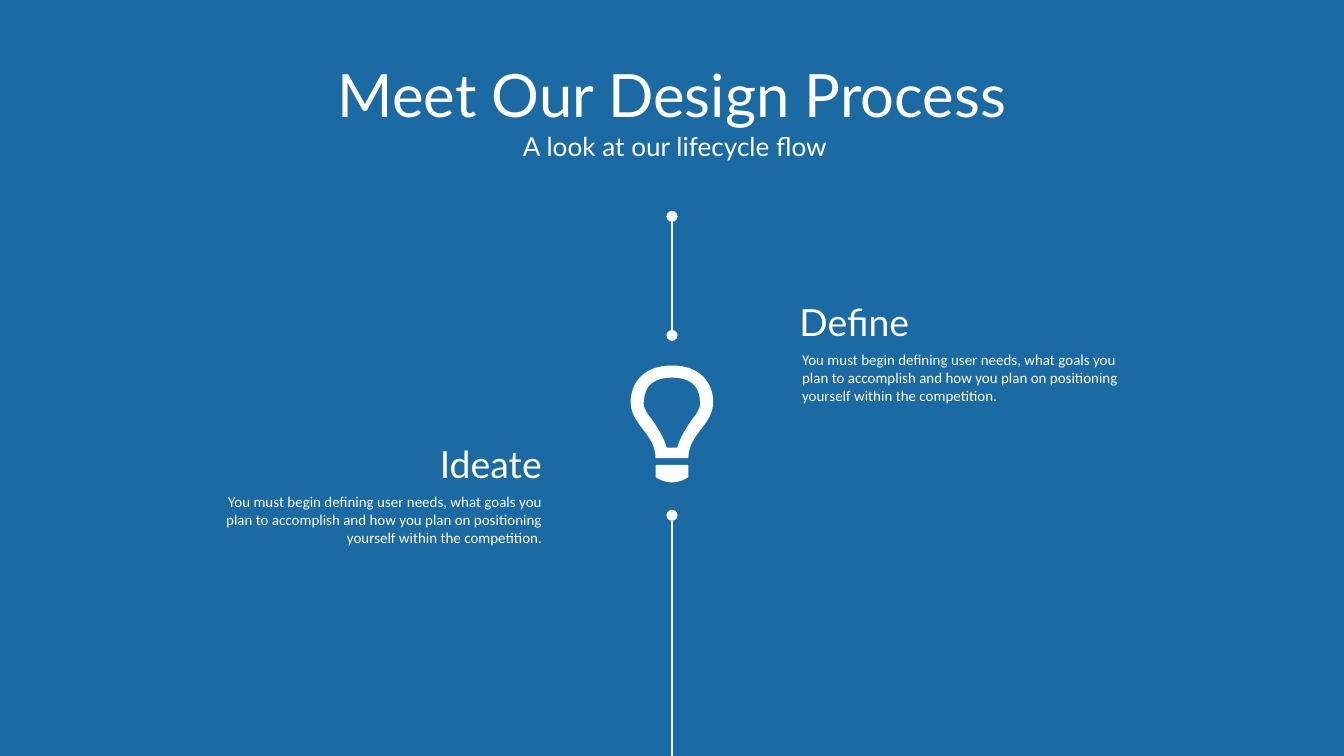
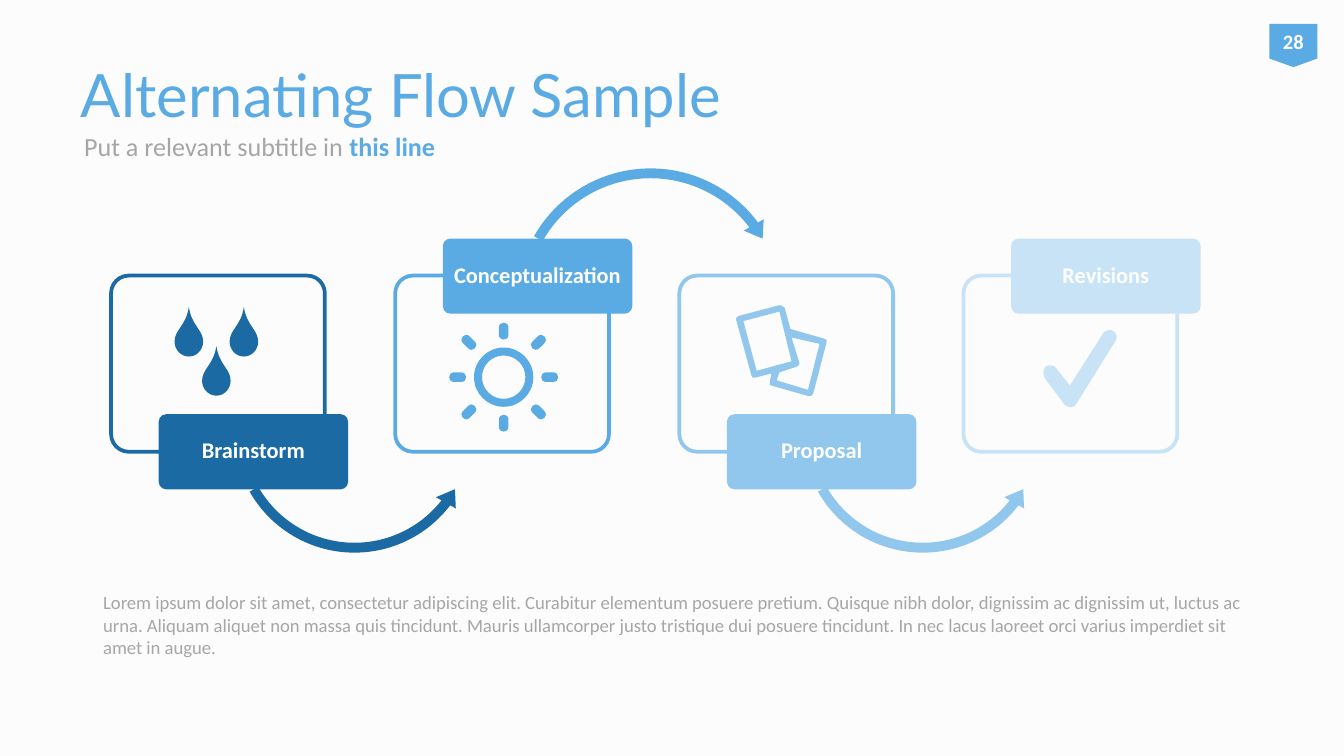
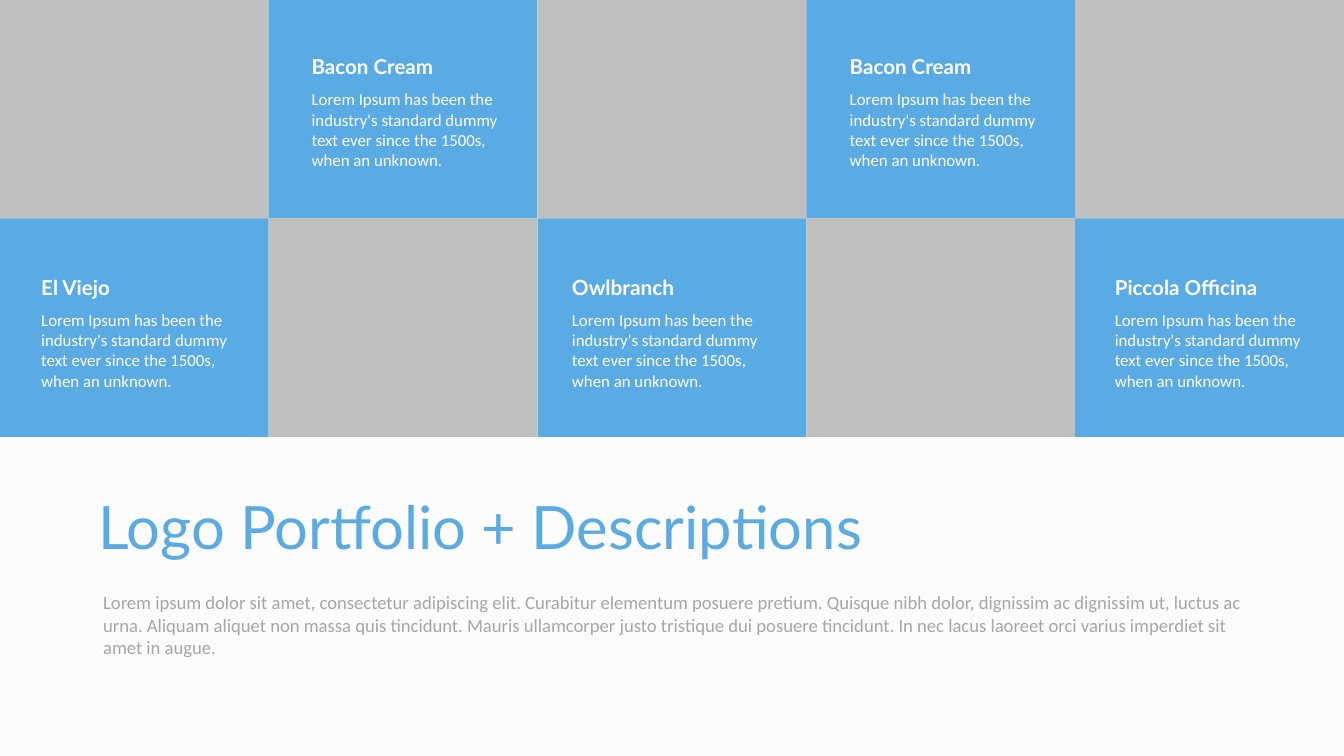
from dataclasses import dataclass
from math import cos, pi, sin
from typing import NamedTuple, Optional

from lxml import etree
from pptx import Presentation
from pptx.dml.color import RGBColor
from pptx.enum.shapes import MSO_CONNECTOR, MSO_SHAPE
from pptx.enum.text import MSO_ANCHOR, PP_ALIGN
from pptx.oxml.ns import qn
from pptx.util import Cm, Pt

LEFT, MID, RIGHT = PP_ALIGN.LEFT, PP_ALIGN.CENTER, PP_ALIGN.RIGHT
TOP, CORE = MSO_ANCHOR.TOP, MSO_ANCHOR.MIDDLE
RECT, ROUND = MSO_SHAPE.RECTANGLE, MSO_SHAPE.ROUNDED_RECTANGLE
OVER, UNDER = MSO_SHAPE.CIRCULAR_ARROW, MSO_SHAPE.LEFT_CIRCULAR_ARROW
TAG = MSO_SHAPE.FLOWCHART_OFFPAGE_CONNECTOR
STRAIGHT = MSO_CONNECTOR.STRAIGHT


@dataclass(frozen=True)
class Theme:
    navy: str = "1B6AA3"
    blue: str = "5AAAE4"
    sky: str = "91C6ED"
    ice: str = "C8E3F6"
    gray: str = "A6A6A6"
    tile: str = "BFBFBF"
    paper: str = "FCFCFC"
    white: str = "FFFFFF"
    head: str = "Lato"
    body: str = "Calibri"
    title: float = 32
    step: float = 20
    lead: float = 14
    label: float = 12
    large: float = 11.2
    name: float = 11
    note: float = 10
    tiny: float = 9
    small: float = 8


T = Theme()
WIDE, HIGH = 25.4, 14.29
LOREM = (
    "Lorem ipsum dolor sit amet, consectetur adipiscing elit. Curabitur elementum posuere pretium. "
    "Quisque nibh dolor, dignissim ac dignissim ut, luctus ac urna. Aliquam aliquet non massa quis "
    "tincidunt. Mauris ullamcorper justo tristique dui posuere tincidunt. In nec lacus laoreet orci "
    "varius imperdiet sit amet in augue."
)
NEEDS = (
    "You must begin defining user needs, what goals you plan to accomplish and how you plan on "
    "positioning yourself within the competition."
)
DUMMY = (
    "Lorem Ipsum has been the industry's standard dummy text ever since the 1500s, "
    "when an unknown."
)


class Box(NamedTuple):
    x: float
    y: float
    w: float
    h: float


class Run(NamedTuple):
    text: str
    size: float
    color: str = T.white
    font: str = T.body
    bold: bool = False


class Step(NamedTuple):
    text: str
    align: PP_ALIGN
    head: Box
    note: Box


class Card(NamedTuple):
    text: str
    color: str
    low: bool
    arrow: bool = True


class Arc(NamedTuple):
    kind: MSO_SHAPE
    dx: float
    y: float
    size: float
    turn: tuple


class Tile(NamedTuple):
    text: str
    pad: float
    size: float = T.name


STEPS = [
    Step("Define", LEFT, Box(14.86, 5.46, 8, 1.22), Box(14.91, 6.5, 6.81, 1.55)),
    Step("Ideate", RIGHT, Box(2.49, 8.15, 8, 1.22), Box(3.69, 9.19, 6.81, 1.55)),
]
CARDS = [
    Card("Brainstorm", T.navy, True),
    Card("Conceptualization", T.blue, False),
    Card("Proposal", T.sky, True),
    Card("Revisions", T.ice, False, False),
]
ARCS = {
    True: Arc(UNDER, 2.2, 5.77, 4.8, (0.039, 4.867, 22.622, 90.245, 0.045)),
    False: Arc(OVER, 2.17, 3.06, 5.31, (0.035, 4.356, 193.889, 125.755, 0.041)),
}
TILES = [
    Tile("El Viejo", 0.53),
    Tile("Bacon Cream", 0.56),
    Tile("Owlbranch", 0.4, T.large),
    Tile("Bacon Cream", 0.57),
    Tile("Piccola Officina", 0.5),
]

BULB = [
    [(0, 2.21), (0.13, 2.21, 0.23, 2.16, 0.31, 2.11), (0.31, 1.88)],
    [(0, 0), (0.53, 0, 0.75, 0.31, 0.78, 0.64), (0.81, 1.12, 0.31, 1.27, 0.31, 1.75)],
    [(0, 0.23), (0.33, 0.23, 0.51, 0.36, 0.53, 0.66), (0.56, 0.81, 0.46, 0.91, 0.33, 1.09),
     (0.25, 1.22, 0.15, 1.37, 0.1, 1.55)],
]
DROP = [(0, 0), (0.05, 0.36, 0.27, 0.43, 0.27, 0.66), (0.27, 0.81, 0.15, 0.94, 0, 0.94)]
DROPS = [(3.57, 5.8), (4.61, 5.8), (4.09, 6.54)]
SHEETS = [
    [(15.57, 6.4), (14.94, 6.22), (14.83, 5.82), (14.81, 5.79, 14.78, 5.77, 14.73, 5.77),
     (13.97, 5.97), (13.92, 5.99, 13.89, 6.02, 13.92, 6.07), (14.2, 7.09),
     (14.2, 7.14, 14.25, 7.16, 14.27, 7.14), (14.58, 7.06), (14.55, 7.21),
     (14.53, 7.26, 14.55, 7.29, 14.58, 7.29), (15.29, 7.49),
     (15.32, 7.49, 15.37, 7.47, 15.37, 7.44), (15.62, 6.48),
     (15.65, 6.45, 15.62, 6.4, 15.57, 6.4)],
    [(14.05, 6.07), (14.73, 5.89), (14.96, 6.83), (14.3, 7.01)],
    [(15.27, 7.37), (14.68, 7.19), (14.73, 7.04), (15.06, 6.93),
     (15.09, 6.93, 15.11, 6.88, 15.11, 6.86), (14.96, 6.38), (15.49, 6.5)],
]
CHECK = [
    (20.24, 7.7), (20.19, 7.7, 20.14, 7.67, 20.12, 7.65), (19.74, 7.14),
    (19.71, 7.09, 19.71, 6.99, 19.76, 6.93), (19.84, 6.88, 19.94, 6.91, 19.96, 6.96),
    (20.22, 7.29), (20.85, 6.3), (20.88, 6.25, 20.98, 6.22, 21.03, 6.25),
    (21.11, 6.3, 21.13, 6.38, 21.08, 6.45), (20.35, 7.62),
    (20.32, 7.67, 20.29, 7.7, 20.24, 7.7),
]


def rgb(color: str) -> RGBColor:
    return RGBColor.from_string(color)


def place(box: Box) -> list:
    return [Cm(side) for side in box]


def new_slide(deck, color: str):
    slide = deck.slides.add_slide(deck.slide_layouts[6])
    slide.background.fill.solid()
    slide.background.fill.fore_color.rgb = rgb(color)
    return slide


def write(frame, runs: list, align: PP_ALIGN = LEFT, anchor: MSO_ANCHOR = CORE) -> None:
    frame.word_wrap = True
    frame.vertical_anchor = anchor
    line = frame.paragraphs[0]
    line.alignment = align
    for run in runs:
        part = line.add_run()
        part.text = run.text
        part.font.size = Pt(run.size)
        part.font.name = run.font
        part.font.bold = run.bold
        part.font.color.rgb = rgb(run.color)


def add_text(slide, box: Box, runs: list, align: PP_ALIGN = LEFT,
             anchor: MSO_ANCHOR = CORE) -> None:
    write(slide.shapes.add_textbox(*place(box)).text_frame, runs, align, anchor)


def add_title(slide, box: Box, text: str, color: str = T.blue, align: PP_ALIGN = LEFT) -> None:
    add_text(slide, box, [Run(text, T.title, color, T.head)], align)


def add_lorem(slide) -> None:
    add_text(slide, Box(1.7, 11.05, 22.2, 1.7), [Run(LOREM, T.note, T.gray)], anchor=TOP)


def paint(shape, fill: Optional[str], line: Optional[str] = None) -> None:
    shape.shadow.inherit = False
    if fill:
        shape.fill.solid()
        shape.fill.fore_color.rgb = rgb(fill)
    else:
        shape.fill.background()
    if line:
        shape.line.color.rgb = rgb(line)
        shape.line.width = Pt(2)
    else:
        shape.line.fill.background()


def add_form(slide, kind: MSO_SHAPE, box: Box, fill: Optional[str],
             line: Optional[str] = None, turn: tuple = ()):
    form = slide.shapes.add_shape(kind, *place(box))
    for spot, value in enumerate(turn):
        form.adjustments[spot] = value
    paint(form, fill, line)
    return form


def add_stem(slide, start: float, end: float, dots: list) -> None:
    stem = slide.shapes.add_connector(STRAIGHT, Cm(WIDE / 2), Cm(start), Cm(WIDE / 2), Cm(end))
    stem.line.color.rgb = rgb(T.white)
    stem.line.width = Pt(0.75)
    line = stem.line._get_or_add_ln()
    for dot in dots:
        etree.SubElement(line, qn(f"a:{dot}"), type="oval")
    etree.SubElement(stem._element.spPr, qn("a:effectLst"))


def pairs(part: tuple) -> list:
    return list(zip(part[::2], part[1::2]))


def shift(route: list, x: float, y: float) -> list:
    return [sum(((x + a, y + b) for a, b in pairs(part)), ()) for part in route]


def mirror(route: list, x: float, y: float) -> list:
    dots = [dot for part in route for dot in pairs(part)]
    back = [(-a, b) for a, b in reversed(dots)]
    full = list(route)
    if back[0][0]:
        full.append(back[0])
    spot = 1
    for part in reversed(route[1:]):
        count = len(part) // 2
        full.append(sum(back[spot:spot + count], ()))
        spot += count
    return shift(full, x, y)


def ring(x: float, y: float, size: float) -> list:
    bend = 0.55 * size
    half = [(0, -size), (bend, -size, size, -bend, size, 0), (size, bend, bend, size, 0, size)]
    return mirror(half, x, y)


def ray(x: float, y: float, turn: float, reach: float) -> list:
    long, side, cap = 0.07, 0.09, 0.19
    pill = [(-long, -side), (long, -side), (cap, -side, cap, side, long, side),
            (-long, side), (-cap, side, -cap, -side, -long, -side)]
    c, s = cos(turn), sin(turn)
    spun = [sum(((a * c - b * s, a * s + b * c) for a, b in pairs(part)), ()) for part in pill]
    return shift(spun, x + reach * c, y + reach * s)


def sun(x: float, y: float) -> list:
    rays = [ray(x, y, spot * pi / 4, 0.93 if spot % 2 else 0.87) for spot in range(8)]
    return [ring(x, y, 0.56), ring(x, y, 0.41)] + rays


def bend_lines(shape, loops: list) -> None:
    nodes = iter(list(shape._element.iter(qn("a:lnTo"))))
    for loop in loops:
        for part in loop[1:]:
            group = [next(nodes) for dot in pairs(part)]
            if len(group) == 3:
                curve = etree.Element(qn("a:cubicBezTo"))
                group[0].addprevious(curve)
                for node in group:
                    curve.append(node[0])
                    node.getparent().remove(node)


def add_icon(slide, loops: list, color: str) -> None:
    pen = None
    for loop in loops:
        dots = [(Cm(x), Cm(y)) for part in loop for x, y in pairs(part)]
        if pen is None:
            pen = slide.shapes.build_freeform(*dots[0])
        else:
            pen.move_to(*dots[0])
        pen.add_line_segments(dots[1:], close=True)
    icon = pen.convert_to_shape()
    bend_lines(icon, loops)
    paint(icon, color)


def add_card(slide, spot: int, card: Card) -> None:
    x = 2.1 + 5.37 * spot
    add_form(slide, ROUND, Box(x, 5.21, 4.04, 3.33), None, card.color, (0.1,))
    if card.arrow:
        arc = ARCS[card.low]
        add_form(slide, arc.kind, Box(x + arc.dx, arc.y, arc.size, arc.size), card.color,
                 turn=arc.turn)
    y = 7.83 if card.low else 4.51
    plate = add_form(slide, ROUND, Box(x + 0.9, y, 3.58, 1.42), card.color, turn=(0.1,))
    frame = plate.text_frame
    frame.margin_left = frame.margin_right = Cm(0.08)
    frame.margin_top = frame.margin_bottom = Cm(0.05)
    write(frame, [Run(card.text, T.label, bold=True)], MID)
    frame.paragraphs[0].line_spacing = 0.9


def draw_process(deck) -> None:
    slide = new_slide(deck, T.navy)
    add_title(slide, Box(1.27, 0.58, 22.86, 2.39), "Meet Our Design Process", T.white, MID)
    add_text(slide, Box(1.33, 2.26, 22.86, 1.02),
             [Run("A look at our lifecycle flow", T.lead, font=T.head)], MID)
    add_stem(slide, 4.09, 6.34, ["headEnd", "tailEnd"])
    add_stem(slide, 9.74, HIGH, ["headEnd"])
    add_icon(slide, [mirror(route, WIDE / 2, 6.91) for route in BULB], T.white)
    for step in STEPS:
        add_text(slide, step.note, [Run(NEEDS, T.small)], step.align, TOP)
        add_text(slide, step.head, [Run(step.text, T.step, font=T.head)], step.align)


def draw_flow(deck) -> None:
    slide = new_slide(deck, T.paper)
    add_title(slide, Box(1.28, 0.58, 22.43, 2.39), "Alternating Flow Sample")
    add_text(slide, Box(1.34, 2.26, 8.81, 1.02), [
        Run("Put a relevant subtitle in ", T.lead, T.gray),
        Run("this line", T.lead, T.blue, bold=True),
    ])
    for spot, card in enumerate(CARDS):
        add_card(slide, spot, card)
    icons = [[mirror(DROP, x, y) for x, y in DROPS], sun(9.52, 7.13), SHEETS, [CHECK]]
    for loops, card in zip(icons, CARDS):
        add_icon(slide, loops, card.color)
    add_lorem(slide)
    badge = add_form(slide, TAG, Box(23.99, 0.45, 0.91, 0.82), T.blue)
    frame = badge.text_frame
    frame.margin_left = frame.margin_right = 0
    write(frame, [Run("28", T.name, bold=True)], MID)


def draw_logos(deck) -> None:
    slide = new_slide(deck, T.paper)
    add_title(slide, Box(1.61, 8.74, 19.91, 2.39), "Logo Portfolio + Descriptions")
    add_lorem(slide)
    wide, high = WIDE / len(TILES), 4.13
    for col, tile in enumerate(TILES):
        for row, y in enumerate((0.88, 5.05)):
            lit = (col + row) % 2 == 1
            add_form(slide, RECT, Box(col * wide, row * high, wide, high),
                     T.blue if lit else T.tile)
            if lit:
                x = col * wide + tile.pad
                add_text(slide, Box(x, y + 0.68, 4.5, 1.8), [Run(DUMMY, T.tiny)], anchor=TOP)
                add_text(slide, Box(x, y, 4.5, 0.76),
                         [Run(tile.text, tile.size, font=T.head, bold=True)])


def main() -> None:
    deck = Presentation()
    deck.slide_width, deck.slide_height = Cm(WIDE), Cm(HIGH)
    draw_process(deck)
    draw_flow(deck)
    draw_logos(deck)
    deck.save("out.pptx")


if __name__ == "__main__":
    main()
